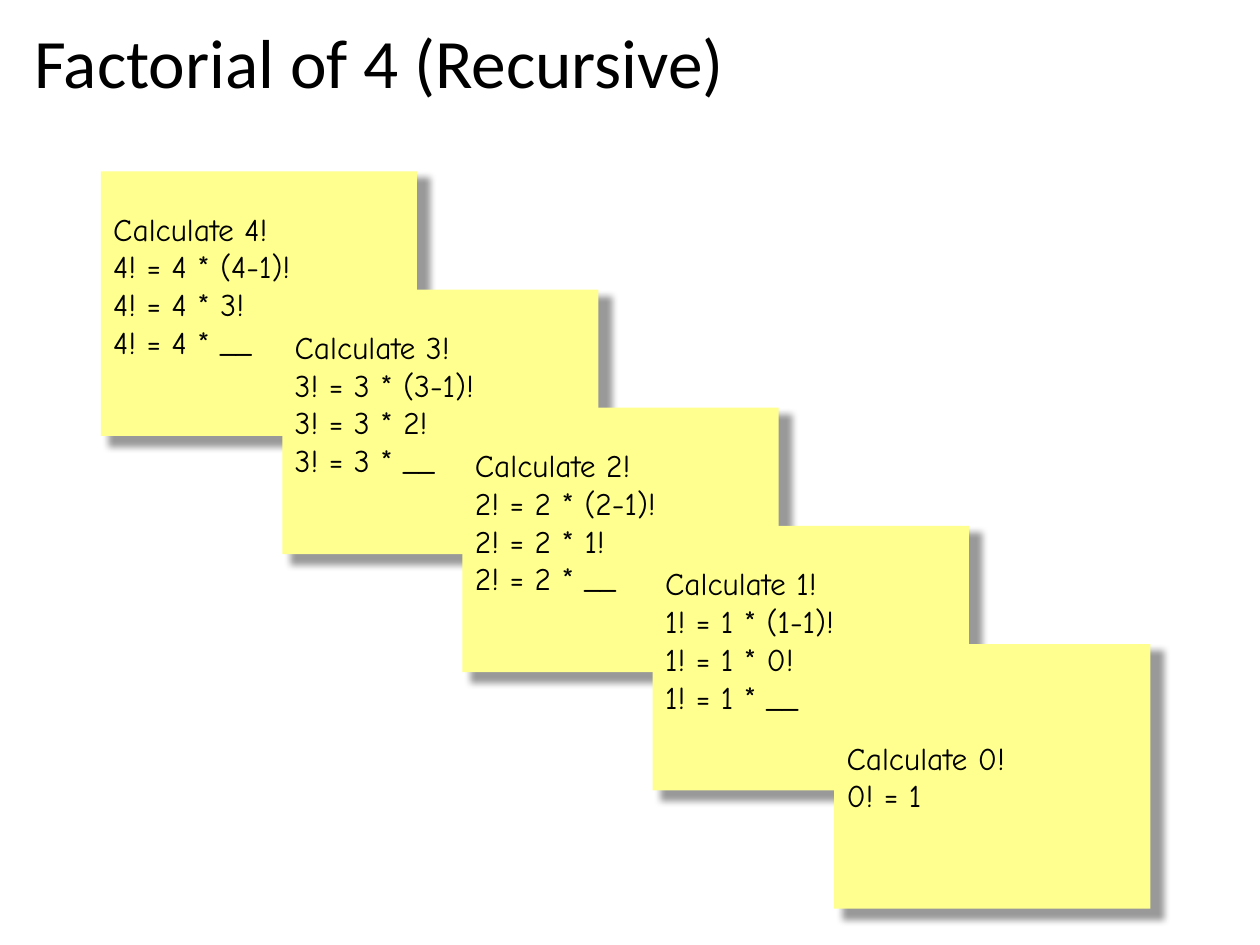
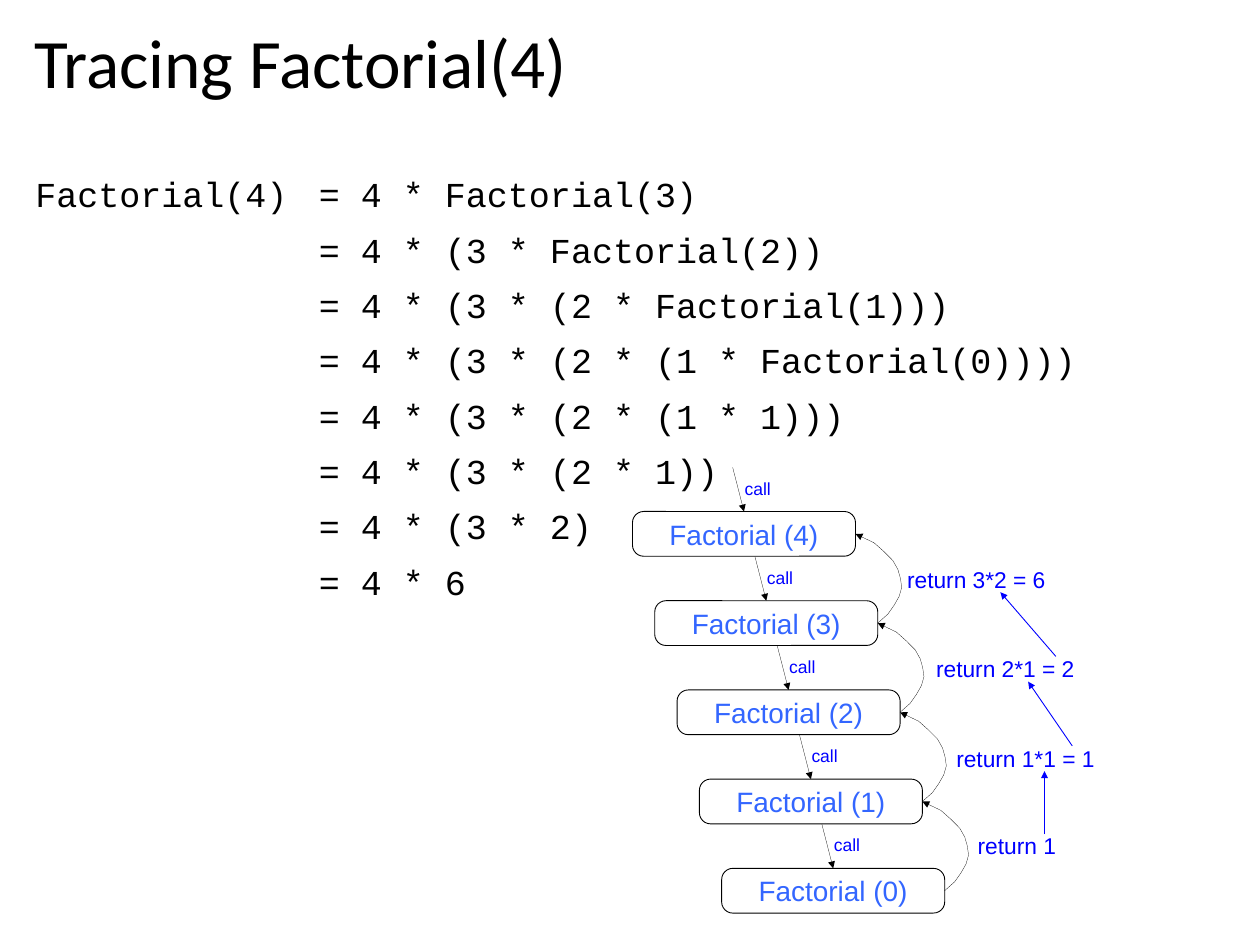
"""Two slides that explain the recursive factorial of 4."""
from typing import NamedTuple

from lxml.etree import SubElement
from pptx import Presentation
from pptx.dml.color import RGBColor
from pptx.enum.shapes import MSO_CONNECTOR, MSO_SHAPE
from pptx.enum.text import MSO_ANCHOR, MSO_AUTO_SIZE, PP_ALIGN
from pptx.oxml.ns import qn
from pptx.util import Emu, Inches, Pt

SLIDE_WIDTH, SLIDE_HEIGHT = Inches(10), Inches(7.5)
COLUMNS, ROWS = 100, 75
BLACK, WHITE, NOTE_YELLOW = "000000", "FFFFFF", "FFFF8F"
CALL_BLUE, RETURN_BLUE = "3366FF", "0000FF"
HAIRLINE, THIN = 0.13, 0.5


class Area(NamedTuple):
    """A rectangle in grid columns and rows."""
    column: float
    row: float
    columns: float
    rows: float


class Note(NamedTuple):
    """A sticky note for one step of the recursion."""
    number: int
    column: float


class Return(NamedTuple):
    """A returned value and where its label starts."""
    wording: str
    column: float
    row: float


class Arrow(NamedTuple):
    """A straight arrow between two grid points."""
    start: tuple[float, float]
    end: tuple[float, float]


TITLE_AREA = Area(1.7, 1.8, 96.2, 7.4)
CODE_AREA = Area(1.8, 13.6, 90.2, 52.4)

NOTES = [Note(4, 8), Note(3, 22.4), Note(2, 36.7), Note(1, 51.8), Note(0, 66.2)]
NOTE_TOP, NOTE_STEP = 13.6, 9.38
NOTE_COLUMNS, NOTE_ROWS = 25.1, 21

EXPANSIONS = [
    "4 * Factorial(3)",
    "4 * (3 * Factorial(2))",
    "4 * (3 * (2 * Factorial(1)))",
    "4 * (3 * (2 * (1 * Factorial(0))))",
    "4 * (3 * (2 * (1 * 1)))",
    "4 * (3 * (2 * 1))",
    "4 * (3 * 2)",
    "4 * 6",
]

FIRST_CALL = Area(50.2, 40.6, 17.7, 3.55)
CALL_COLUMN_STEP, CALL_ROW_STEP = 1.77, 7.08
RETURN_BULGE = [0, 0.8, 1.3, 1.7, 1.9, 1.8, 1.6, 1.2, 0.5, -0.3, -CALL_COLUMN_STEP]
RETURNS = [
    Return("return 3*2 = 6", 72, 44.9),
    Return("return 2*1 = 2", 74.3, 52),
    Return("return 1*1 = 1", 75.9, 59.1),
    Return("return 1", 77.6, 66),
]
RETURN_ARROWS = [
    Arrow((82.9, 66.2), (82.9, 61.2)),
    Arrow((85.1, 59.2), (81.6, 54.1)),
    Arrow((83.8, 52.1), (79.4, 47)),
]


def x(columns: float) -> Emu:
    """Turn grid columns into a length."""
    return Emu(round(SLIDE_WIDTH * columns / COLUMNS))


def y(rows: float) -> Emu:
    """Turn grid rows into a length."""
    return Emu(round(SLIDE_HEIGHT * rows / ROWS))


def place(area: Area) -> tuple[Emu, Emu, Emu, Emu]:
    """Turn a grid area into left, top, width and height."""
    return x(area.column), y(area.row), x(area.columns), y(area.rows)


def color(hex_code: str) -> RGBColor:
    """Turn a hex string into a colour."""
    return RGBColor.from_string(hex_code)


def write(frame, lines: list[str], *, font: str, size: float, ink: str = BLACK,
          align=PP_ALIGN.LEFT, anchor=MSO_ANCHOR.TOP, spacing: float | None = None,
          before: float = 0, inset: tuple[float, float] = (0.1, 0.05)) -> None:
    """Fill a text frame with one paragraph per line."""
    frame.word_wrap = True
    frame.auto_size = MSO_AUTO_SIZE.NONE
    frame.vertical_anchor = anchor
    frame.margin_left = frame.margin_right = Inches(inset[0])
    frame.margin_top = frame.margin_bottom = Inches(inset[1])
    frame.text = "\n".join(lines)
    for paragraph in frame.paragraphs:
        paragraph.alignment = align
        paragraph.space_before = Pt(before)
        if spacing:
            paragraph.line_spacing = spacing
        for run in paragraph.runs:
            run.font.name = font
            run.font.size = Pt(size)
            run.font.color.rgb = color(ink)


def add_titled_slide(deck, layout_index: int, title: str):
    """Add a slide with the shared title style."""
    slide = deck.slides.add_slide(deck.slide_layouts[layout_index])
    heading = slide.shapes.title
    heading.left, heading.top, heading.width, heading.height = place(TITLE_AREA)
    write(heading.text_frame, [title], font="Calibri", size=39.6, spacing=0.9)
    return slide


def add_box(slide, preset, area: Area, fill: str):
    """Add a filled preset shape without line or shadow."""
    box = slide.shapes.add_shape(preset, *place(area))
    box.shadow.inherit = False
    box.fill.solid()
    box.fill.fore_color.rgb = color(fill)
    box.line.fill.background()
    return box


def add_label(slide, wording: str, area: Area, size: float) -> None:
    """Add a blue label without insets."""
    label = slide.shapes.add_textbox(*place(area))
    write(label.text_frame, [wording], font="Arial", size=size,
          ink=RETURN_BLUE, inset=(0, 0))


def draw_stroke(line, ink: str, width: float, arrow: bool = False) -> None:
    """Format a line and give it a small arrowhead if asked."""
    line.color.rgb = color(ink)
    line.width = Pt(width)
    if arrow:
        SubElement(line._get_or_add_ln(), qn("a:tailEnd"), type="triangle", w="sm", len="sm")


def add_arrow(slide, arrow: Arrow, ink: str, width: float):
    """Add a straight arrow without shadow."""
    (x1, y1), (x2, y2) = arrow
    connector = slide.shapes.add_connector(MSO_CONNECTOR.STRAIGHT, x(x1), y(y1), x(x2), y(y2))
    draw_stroke(connector.line, ink, width, arrow=True)
    SubElement(connector._element.spPr, qn("a:effectLst"))
    return connector


def cast_shadow(shape) -> None:
    """Give a shape a soft, slightly larger shadow to the lower right."""
    effects = shape._element.spPr.find(qn("a:effectLst"))
    shadow = SubElement(effects, qn("a:outerShdw"), blurRad=str(Pt(4)), dist=str(Pt(6)),
                        dir=str(39 * 60000), sx="101500", sy="101500",
                        algn="tl", rotWithShape="0")
    ink = SubElement(shadow, qn("a:srgbClr"), val=BLACK)
    SubElement(ink, qn("a:alpha"), val="40000")


def add_note(slide, note: Note, row: float) -> None:
    """Add a sticky note with the steps for its number."""
    n = note.number
    steps = [f"{n} * ({n}-1)!", f"{n} * {n - 1}!", f"{n} * __"] if n else ["1"]
    paper = add_box(slide, MSO_SHAPE.RECTANGLE,
                    Area(note.column, row, NOTE_COLUMNS, NOTE_ROWS), NOTE_YELLOW)
    cast_shadow(paper)
    write(paper.text_frame, [f"Calculate {n}!"] + [f"{n}! = {step}" for step in steps],
          font="Comic Neue", size=18, anchor=MSO_ANCHOR.MIDDLE)
    if n:
        paper.text_frame.margin_bottom = Inches(0.34)


def add_expansions(slide) -> None:
    """Write the expansion of Factorial(4), aligned at the equals signs."""
    code = slide.placeholders[1]
    code.left, code.top, code.width, code.height = place(CODE_AREA)
    starts = ["Factorial(4)"] + [""] * (len(EXPANSIONS) - 1)
    write(code.text_frame, [f"{start}\t= {value}" for start, value in zip(starts, EXPANSIONS)],
          font="Courier New", size=20, spacing=0.9, before=10)
    for paragraph in code.text_frame.paragraphs:
        properties = paragraph._p.get_or_add_pPr()
        properties.set("marL", "0")
        properties.set("indent", "0")
        properties.set("defTabSz", str(Inches(2.25)))
        SubElement(properties, qn("a:buNone"))


def add_call(slide, depth: int) -> None:
    """Add a call box with the arrow and label that lead to it."""
    area = FIRST_CALL._replace(column=FIRST_CALL.column + depth * CALL_COLUMN_STEP,
                               row=FIRST_CALL.row + depth * CALL_ROW_STEP)
    box = add_box(slide, MSO_SHAPE.ROUNDED_RECTANGLE, area, WHITE)
    box.adjustments[0] = 0.25
    draw_stroke(box.line, BLACK, THIN)
    write(box.text_frame, [f"Factorial ({4 - depth})"], font="Arial", size=16,
          ink=CALL_BLUE, align=PP_ALIGN.CENTER, anchor=MSO_ANCHOR.MIDDLE)
    middle = area.column + area.columns / 2
    entry = Arrow((middle - 0.9, area.row - 3.5), (middle, area.row))
    add_arrow(slide, entry, BLACK, HAIRLINE).end_connect(box, 0)
    add_label(slide, "call", Area(middle + 0.05, area.row - 2.7, 3, 2.1), 10)
    if depth:
        add_return_curve(slide, area.column + area.columns, area.row + area.rows / 2)


def add_return_curve(slide, column: float, row: float) -> None:
    """Draw the curve from a call back to its caller."""
    rise = CALL_ROW_STEP / (len(RETURN_BULGE) - 1)
    points = [(x(column + bulge), y(row - i * rise)) for i, bulge in enumerate(RETURN_BULGE)]
    builder = slide.shapes.build_freeform(*points[0])
    builder.add_line_segments(points[1:], close=False)
    curve = builder.convert_to_shape()
    curve.shadow.inherit = False
    curve.fill.background()
    draw_stroke(curve.line, BLACK, HAIRLINE, arrow=True)


def build_notes_slide(deck) -> None:
    """Build the slide with the cascade of notes."""
    slide = add_titled_slide(deck, 5, "Factorial of 4 (Recursive)")
    for i, note in enumerate(NOTES):
        add_note(slide, note, NOTE_TOP + i * NOTE_STEP)


def build_tracing_slide(deck) -> None:
    """Build the slide with the expansion and the call diagram."""
    slide = add_titled_slide(deck, 1, "Tracing Factorial(4)")
    add_expansions(slide)
    for depth in range(5):
        add_call(slide, depth)
    for result in RETURNS:
        add_label(slide, result.wording, Area(result.column, result.row, 12, 2.4), 13)
    for arrow in RETURN_ARROWS:
        add_arrow(slide, arrow, RETURN_BLUE, THIN)


def main() -> None:
    """Build and save the deck."""
    deck = Presentation()
    deck.slide_width, deck.slide_height = SLIDE_WIDTH, SLIDE_HEIGHT
    build_notes_slide(deck)
    build_tracing_slide(deck)
    deck.save("out.pptx")


if __name__ == "__main__":
    main()
